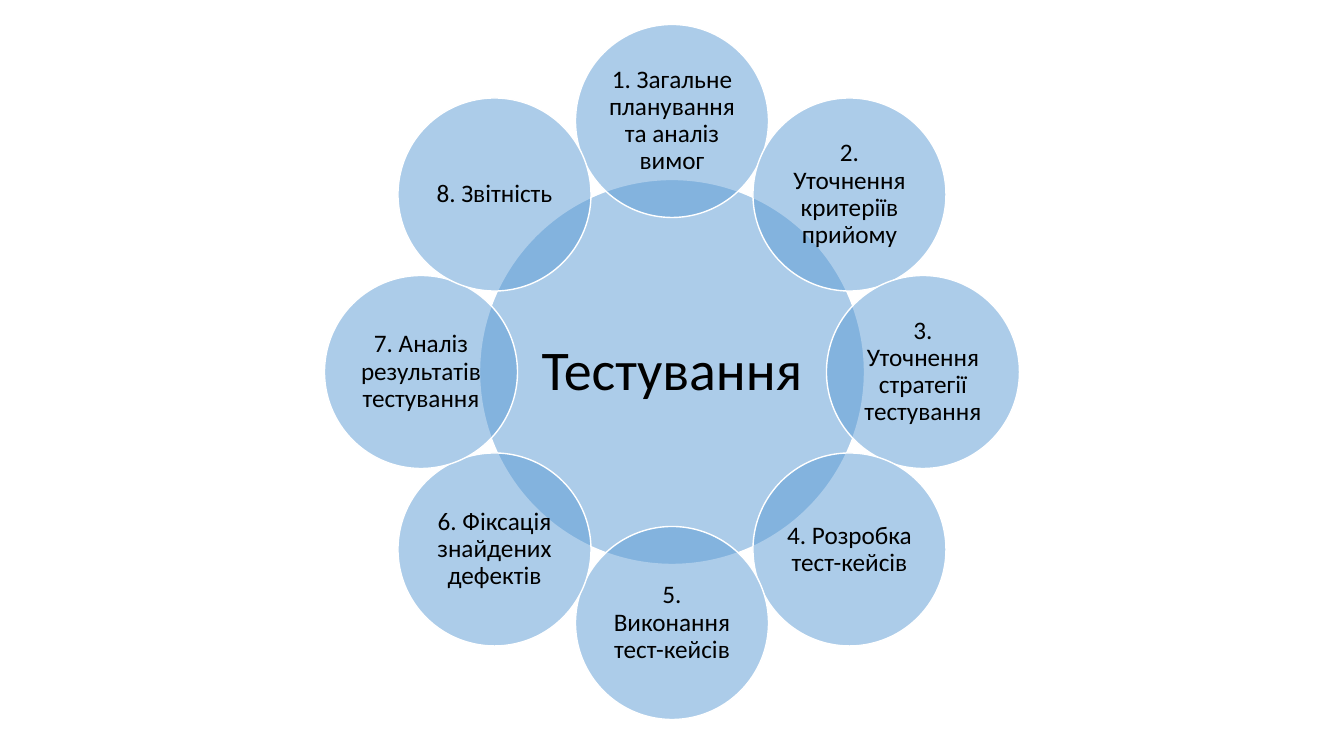
from dataclasses import dataclass
from math import cos, pi, sin

from lxml.etree import SubElement
from pptx import Presentation
from pptx.dml.color import RGBColor
from pptx.enum.shapes import MSO_SHAPE
from pptx.enum.text import MSO_ANCHOR, PP_ALIGN
from pptx.oxml.ns import qn
from pptx.util import Emu, Pt

PX = 914400 / 100.8


def px(length):
    return Emu(round(length * PX))


@dataclass(frozen=True)
class Theme:
    font: str = "Calibri"
    circle: RGBColor = RGBColor(0x5B, 0x9B, 0xD5)
    outline: RGBColor = RGBColor(0xFF, 0xFF, 0xFF)
    text: RGBColor = RGBColor(0x00, 0x00, 0x00)
    opacity: int = 50
    hub_size: int = 40
    step_size: int = 18


class Diagram:
    def __init__(self, page, theme):
        self.theme = theme
        self.group = page.shapes.add_group_shape()

    def circle(self, center_x, center_y, diameter, label, size, inset):
        """Add a translucent circle with its label centred inside."""
        left, top = center_x - diameter / 2, center_y - diameter / 2
        shape = self.group.shapes.add_shape(
            MSO_SHAPE.OVAL, px(left), px(top), px(diameter), px(diameter))
        shape.shadow.inherit = False
        shape.fill.solid()
        shape.fill.fore_color.rgb = self.theme.circle
        color = shape.fill._xPr.find(qn("a:solidFill"))[0]
        SubElement(color, qn("a:alpha"), val=str(self.theme.opacity * 1000))
        shape.line.color.rgb = self.theme.outline
        shape.line.width = Pt(1)
        self.label(shape.text_frame, label, size, inset)

    def label(self, frame, label, size, inset):
        frame.text = label
        frame.word_wrap = True
        frame.vertical_anchor = MSO_ANCHOR.MIDDLE
        frame.margin_left = frame.margin_right = px(inset)
        frame.margin_top = frame.margin_bottom = px(inset)
        para = frame.paragraphs[0]
        para.alignment = PP_ALIGN.CENTER
        para.line_spacing = 0.9
        font = para.runs[0].font
        font.name = self.theme.font
        font.size = Pt(size)
        font.color.rgb = self.theme.text


STEPS = [
    "1. Загальне планування та аналіз вимог",
    "2. Уточнення критеріїв прийому",
    "3. Уточнення стратегії тестування",
    "4. Розробка тест-кейсів",
    "5. Виконання тест-кейсів",
    "6. Фіксація знайдених дефектів",
    "7. Аналіз результатів тестування",
    "8. Звітність",
]
CENTER_X, CENTER_Y, RING_RADIUS = 672, 372, 251
HUB_DIAMETER, STEP_DIAMETER = 385, 193
HUB_INSET, STEP_INSET = 1, 3


def main():
    deck = Presentation()
    deck.slide_width, deck.slide_height = px(1344), px(756)
    page = deck.slides.add_slide(deck.slide_layouts[6])
    theme = Theme()
    diagram = Diagram(page, theme)

    # Central topic, with a slim inset so the word stays on one line
    diagram.circle(CENTER_X, CENTER_Y, HUB_DIAMETER,
                   "Тестування", theme.hub_size, HUB_INSET)

    # Steps, clockwise from the top
    for index, step in enumerate(STEPS):
        angle = 2 * pi * index / len(STEPS)
        diagram.circle(CENTER_X + RING_RADIUS * sin(angle),
                       CENTER_Y - RING_RADIUS * cos(angle),
                       STEP_DIAMETER, step, theme.step_size, STEP_INSET)

    deck.save("out.pptx")


if __name__ == "__main__":
    main()
